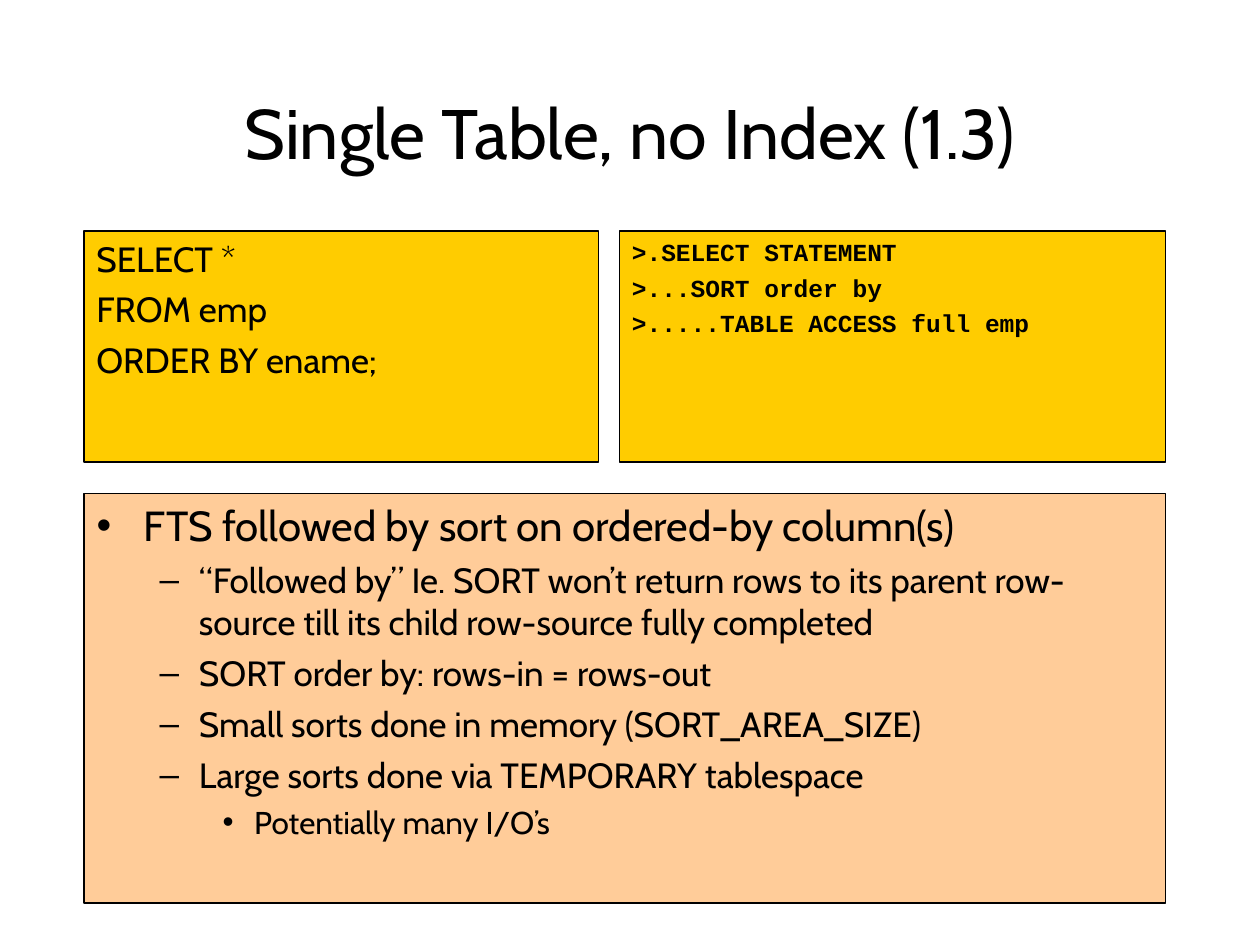
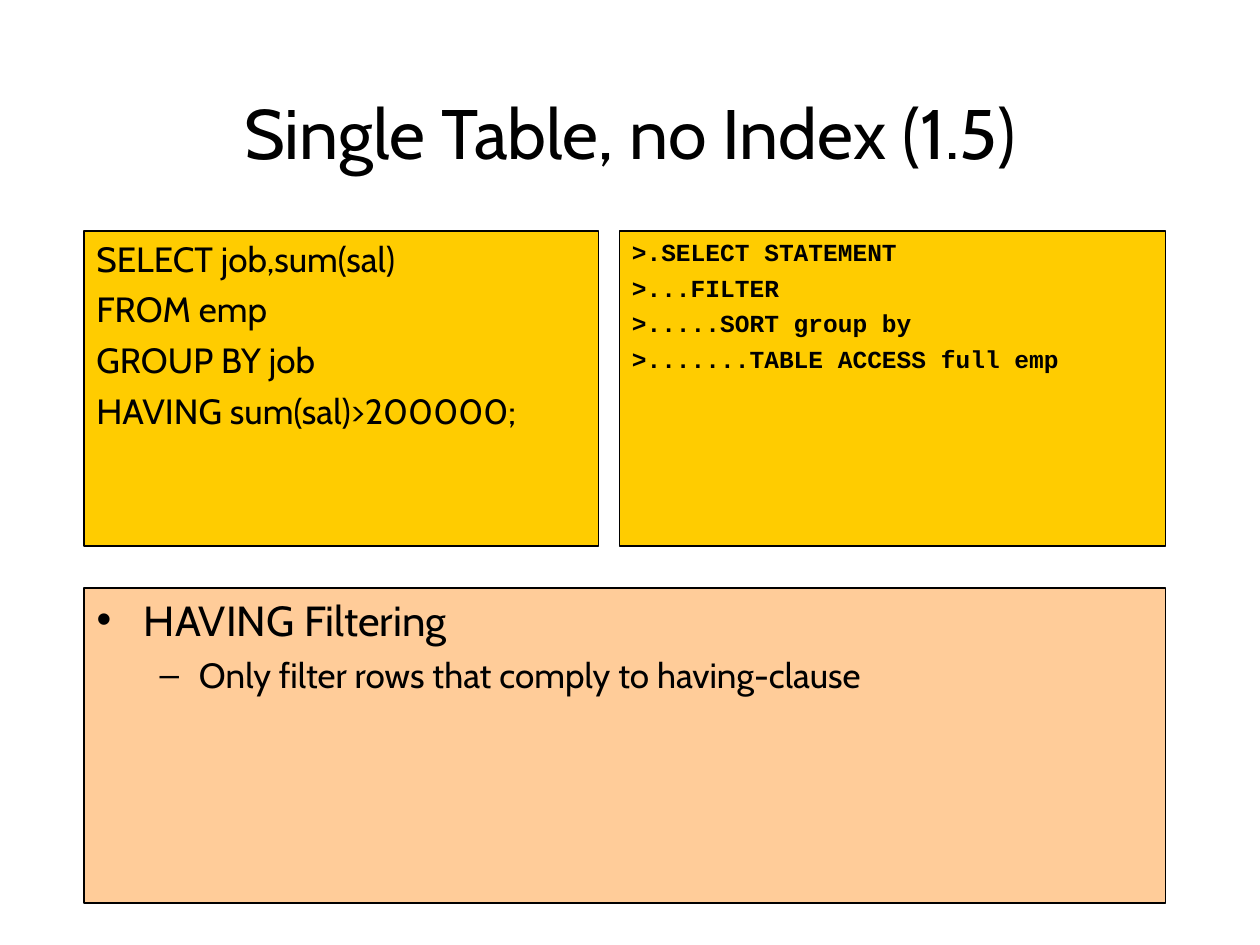
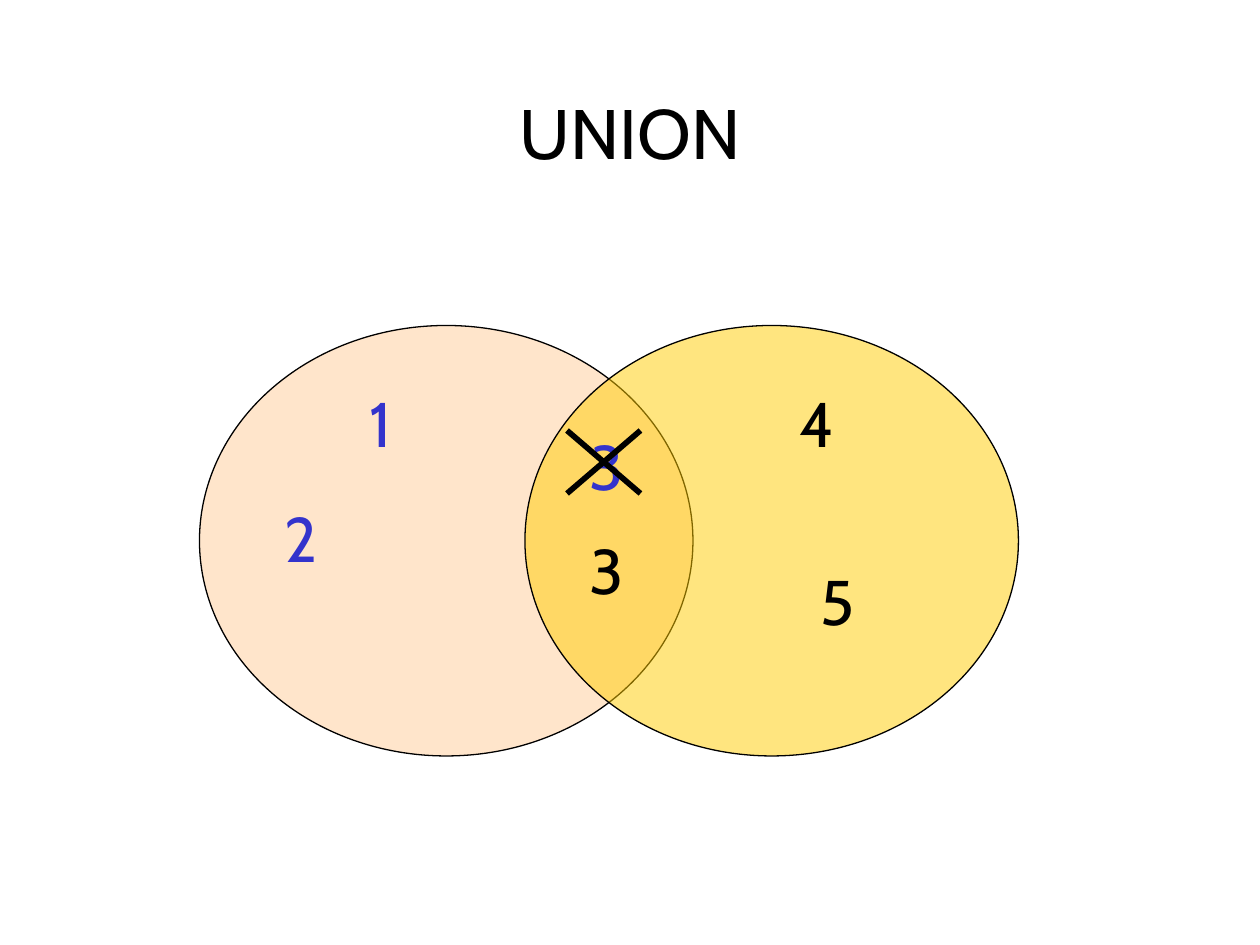
"""Build three slides on SQL execution plans and the UNION operator."""
from lxml import etree
from pptx import Presentation
from pptx.dml.color import RGBColor
from pptx.enum import shapes, text
from pptx.oxml import ns
from pptx.util import Pt

BLACK = RGBColor(0x00, 0x00, 0x00)
BLUE = RGBColor(0x33, 0x33, 0xCC)
GOLD = RGBColor(0xFF, 0xCC, 0x00)
PEACH = RGBColor(0xFF, 0xCC, 0x99)
SANS, MONO = "Cabin", "Courier New"

LEFT, QUERY_W, PLAN_X, RIGHT = 48, 294, 354, 666
BOX_TOP, BOTTOM = 132, 516
LEVELS = [(24, 27, 27, "•"), (20, 58.5, 22.5, "–"), (18, 90, 18, "•")]


def style(p, size, color=BLACK, font=SANS, bold=False):
    p.font.name, p.font.size, p.font.bold = font, Pt(size), bold
    p.font.color.rgb = color


def hang(p, margin, hanging):
    pPr = p._p.get_or_add_pPr()
    pPr.set("marL", str(Pt(margin)))
    pPr.set("indent", str(-Pt(hanging)))
    return pPr


def paint(sp, color):
    sp.fill.solid()
    sp.fill.fore_color.rgb = color
    sp.line.color.rgb = BLACK
    sp.line.width = Pt(0.75)


def place(sp, x, y, w, h):
    sp.left, sp.top, sp.width, sp.height = Pt(x), Pt(y), Pt(w), Pt(h)


def add_paragraphs(tf, lines):
    tf.word_wrap = True
    tf.auto_size = text.MSO_AUTO_SIZE.NONE
    tf.vertical_anchor = text.MSO_ANCHOR.TOP
    for i, line in enumerate(lines):
        p = tf.add_paragraph() if i else tf.paragraphs[0]
        p.text = line
        yield p


def add_titled_slide(prs, layout, title):
    s = prs.slides.add_slide(prs.slide_layouts[layout])
    sp = s.shapes.title
    place(sp, 54, 48, 612, 54)
    tf = sp.text_frame
    tf.text = title
    tf.auto_size = text.MSO_AUTO_SIZE.NONE
    tf.vertical_anchor = text.MSO_ANCHOR.MIDDLE
    p = tf.paragraphs[0]
    p.alignment = text.PP_ALIGN.CENTER
    style(p, 40)
    return s


def add_code_box(s, x, w, h, lines, size, space, font, bold):
    sp = s.shapes.add_shape(shapes.MSO_SHAPE.RECTANGLE,
                            Pt(x), Pt(BOX_TOP), Pt(w), Pt(h))
    sp.shadow.inherit = False
    paint(sp, GOLD)
    for p in add_paragraphs(sp.text_frame, lines):
        p.alignment = text.PP_ALIGN.LEFT
        p.space_before = Pt(space)
        hang(p, 27, 27)
        style(p, size, font=font, bold=bold)


def fill_notes(s, top, items):
    sp = s.placeholders[1]
    place(sp, LEFT, top, RIGHT - LEFT, BOTTOM - top)
    paint(sp, PEACH)
    paragraphs = add_paragraphs(sp.text_frame, [line for _, line in items])
    for p, (level, _) in zip(paragraphs, items):
        size, margin, hanging, bullet = LEVELS[level]
        p.level = level
        p.space_before = Pt(size / 4)
        style(p, size)
        pPr = hang(p, margin, hanging)
        bu = etree.Element(ns.qn("a:buChar"), char=bullet)
        pPr.find(ns.qn("a:defRPr")).addprevious(bu)


def add_plan_slide(prs, title, box_h, notes_top, query, plan, notes):
    s = add_titled_slide(prs, 1, title)
    fill_notes(s, notes_top, notes)
    add_code_box(s, PLAN_X, RIGHT - PLAN_X, box_h, plan, 14, 3.5, MONO, True)
    add_code_box(s, LEFT, QUERY_W, box_h, query, 20, 5, SANS, False)


def add_set(s, x, color):
    sp = s.shapes.add_shape(shapes.MSO_SHAPE.OVAL,
                            Pt(x), Pt(186), Pt(282), Pt(246))
    sp.shadow.inherit = False
    paint(sp, color)
    clr = sp._element.spPr.find(ns.qn("a:solidFill"))[0]
    etree.SubElement(clr, ns.qn("a:alpha"), val="50000")


def add_member(s, digit, x, y, color):
    tf = s.shapes.add_textbox(Pt(x), Pt(y), Pt(34.5), Pt(50.5)).text_frame
    tf.word_wrap = False
    tf.auto_size = text.MSO_AUTO_SIZE.SHAPE_TO_FIT_TEXT
    tf.text = digit
    style(tf.paragraphs[0], 36, color)


def add_cross(s, x1, y1, x2, y2):
    group = s.shapes.add_group_shape()
    for start, end in ((x1, x2), (x2, x1)):
        line = group.shapes.add_connector(shapes.MSO_CONNECTOR.STRAIGHT,
                                          Pt(start), Pt(y1), Pt(end), Pt(y2))
        line.line.color.rgb = BLACK
        line.line.width = Pt(3.25)
        etree.SubElement(line._element.spPr, ns.qn("a:effectLst"))


def add_union_slide(prs):
    s = add_titled_slide(prs, 5, "UNION")
    add_set(s, 114, PEACH)
    add_set(s, 300, GOLD)
    for digit, x, y, color in (
            ("3", 330, 300, BLACK), ("3", 330, 240.5, BLUE),
            ("5", 461.5, 318, BLACK), ("4", 450, 216, BLACK),
            ("2", 155.5, 282, BLUE), ("1", 204, 216, BLUE)):
        add_member(s, digit, x, y, color)
    add_cross(s, 324, 246, 366, 282)


def main():
    prs = Presentation()
    prs.slide_width, prs.slide_height = Pt(720), Pt(540)
    add_plan_slide(
        prs, "Single Table, no Index (1.3)", 132, 282,
        ["SELECT *", "FROM emp", "ORDER BY ename;"],
        [">.SELECT STATEMENT", ">...SORT order by",
         ">.....TABLE ACCESS full emp"],
        [(0, "FTS followed by sort on ordered-by column(s)"),
         (1, "“Followed by” Ie. SORT won’t return rows to its parent "
             "row-source till its child row-source fully completed"),
         (1, "SORT order by: rows-in = rows-out"),
         (1, "Small sorts done in memory (SORT_AREA_SIZE)"),
         (1, "Large sorts done via TEMPORARY tablespace"),
         (2, "Potentially many I/O’s")])
    add_plan_slide(
        prs, "Single Table, no Index (1.5)", 180, 336,
        ["SELECT job,sum(sal)", "FROM emp", "GROUP BY job",
         "HAVING sum(sal)>200000;"],
        [">.SELECT STATEMENT", ">...FILTER", ">.....SORT group by",
         ">.......TABLE ACCESS full emp"],
        [(0, "HAVING Filtering"),
         (1, "Only filter rows that comply to having-clause")])
    add_union_slide(prs)
    prs.save("out.pptx")


if __name__ == "__main__":
    main()
